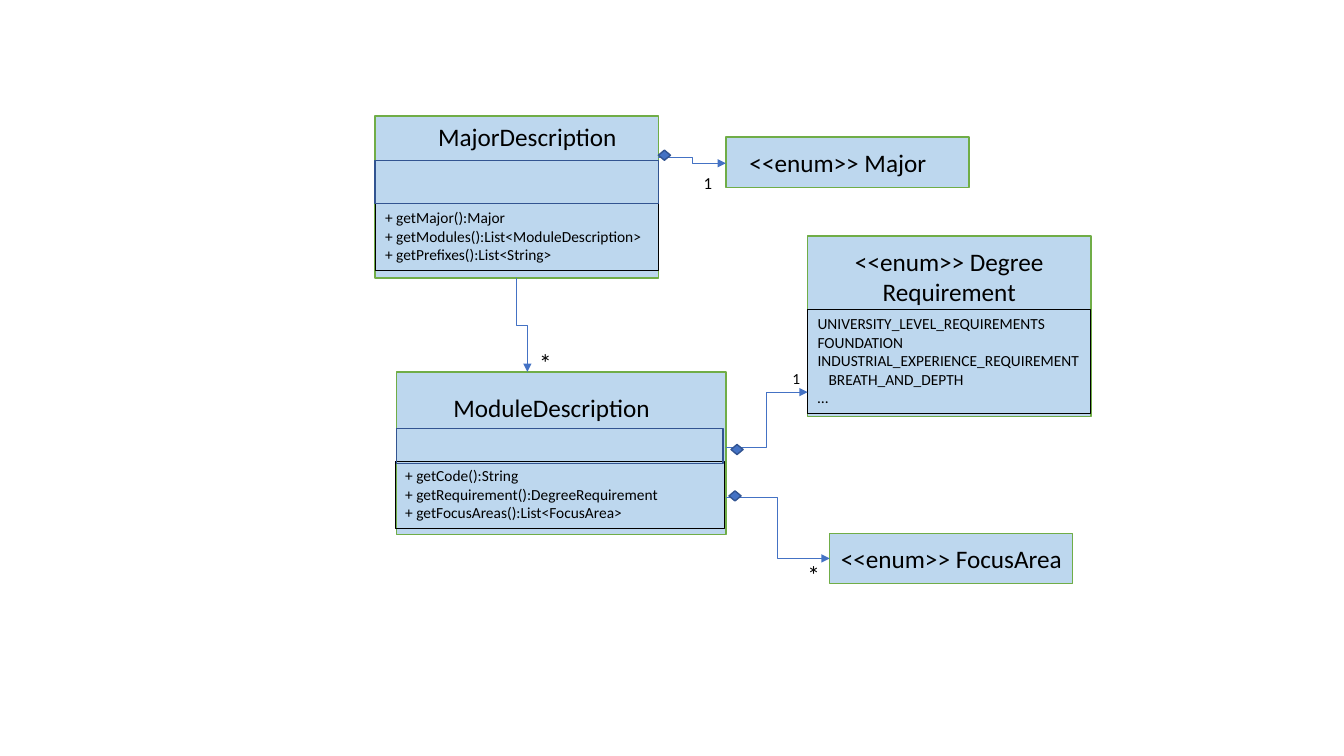
from lxml import etree
from pptx import Presentation
from pptx.dml.color import RGBColor
from pptx.enum.shapes import MSO_CONNECTOR, MSO_SHAPE
from pptx.enum.text import MSO_AUTO_SIZE, PP_ALIGN
from pptx.oxml.ns import qn
from pptx.util import Emu, Pt

COLORS = {"box": "BDD7EE", "frame": "70AD47", "arrow": "4472C4",
          "edge": "325491", "ink": "000000"}
FONT = "Calibri"
PX = 9144  # 100 px to the inch
WRAP_INDENT = 11

# Places are left, top, width, height
CLASSES = [
    {"frame": (372, 115, 281, 161),
     "name": ["MajorDescription"], "name_at": (412, 115, 222, 40),
     "members": ["+ getMajor():Major", "+ getModules():List<ModuleDescription>",
                 "+ getPrefixes():List<String>"],
     "members_at": (372, 202, 281, 66), "fields_at": (372, 159, 281, 43)},
    {"frame": (720, 136, 241, 50),
     "name": ["<<enum>> Major"], "name_at": (720, 141, 222, 40)},
    {"frame": (393, 369, 327, 161),
     "name": ["ModuleDescription"], "name_at": (436, 384, 222, 40),
     "members": ["+ getCode():String", "+ getRequirement():DegreeRequirement",
                 "+ getFocusAreas():List<FocusArea>"],
     "members_at": (392, 458, 327, 66), "fields_at": (393, 425, 324, 35)},
    {"frame": (801, 234, 281, 179),
     "name": ["<<enum>> Degree", "Requirement"], "name_at": (801, 239, 281, 71),
     "members": ["UNIVERSITY_LEVEL_REQUIREMENTS", "FOUNDATION",
                 "INDUSTRIAL_EXPERIENCE_REQUIREMENT", "BREATH_AND_DEPTH", "…"],
     "members_at": (801, 307, 281, 103), "indented": "BREATH_AND_DEPTH"},
    {"frame": (823, 529, 241, 50),
     "name": ["<<enum>> FocusArea"], "name_at": (823, 534, 241, 40)},
]
# Start, end, whether the arrow leaves downwards
ARROWS = [
    ((653, 156), (720, 162), False),
    ((720, 444), (801, 389), False),
    ((720, 493), (823, 554), False),
    ((512, 276), (523, 369), True),
]
DIAMONDS = [(653, 149), (725, 441), (723, 487)]
DIAMOND_SIZE = (12, 10)
MULTIPLICITIES = [
    ("*", (525, 340, 33, 40), 18),
    ("*", (791, 550, 33, 40), 18),
    ("1", (776, 361, 28, 29), 11),
    ("1", (688, 166, 29, 30), 12),
]


def color(name):
    return RGBColor.from_string(COLORS[name])


def emu(lengths):
    return [Emu(round(length * PX)) for length in lengths]


def outline(shape, name, width):
    shape.line.color.rgb = color(name)
    shape.line.width = Pt(width)


def add_box(slide, kind, place, fill, line):
    shape = slide.shapes.add_shape(kind, *emu(place))
    shape.shadow.inherit = False
    if fill:
        shape.fill.solid()
        shape.fill.fore_color.rgb = color(fill)
    else:
        shape.fill.background()
    outline(shape, line, 1)


def add_text(slide, lines, place, size, align=PP_ALIGN.LEFT, wrap=True, indented=None):
    box = slide.shapes.add_textbox(*emu(place))
    frame = box.text_frame
    frame.word_wrap = wrap
    frame.auto_size = MSO_AUTO_SIZE.SHAPE_TO_FIT_TEXT
    frame.text = "\n".join(lines)
    for paragraph in frame.paragraphs:
        if paragraph.text == indented:
            paragraph._p.get_or_add_pPr().set("marL", str(WRAP_INDENT * PX))
        paragraph.alignment = align
        paragraph.font.name = FONT
        paragraph.font.size = Pt(size)
        paragraph.font.color.rgb = color("ink")
    return box


def add_arrow(slide, start, end, downwards):
    (x1, y1), (x2, y2) = start, end
    if downwards:
        # A mirrored sideways elbow about the same centre, turned by 270 degrees
        cx, cy = (x1 + x2) / 2, (y1 + y2) / 2
        half_w, half_h = (y2 - y1) / 2, (x2 - x1) / 2
        x1, y1, x2, y2 = cx + half_w, cy - half_h, cx - half_w, cy + half_h
    arrow = slide.shapes.add_connector(MSO_CONNECTOR.ELBOW, *emu((x1, y1, x2, y2)))
    outline(arrow, "arrow", 0.5)
    properties = arrow._element.spPr
    if downwards:
        properties.find(qn("a:xfrm")).set("rot", str(270 * 60000))
    etree.SubElement(properties.find(qn("a:ln")), qn("a:tailEnd"), type="triangle")
    etree.SubElement(properties, qn("a:effectLst"))


def add_class(slide, uml):
    add_box(slide, MSO_SHAPE.RECTANGLE, uml["frame"], "box", "frame")
    add_text(slide, uml["name"], uml["name_at"], 18, PP_ALIGN.CENTER)
    if "members" in uml:
        members = add_text(slide, uml["members"], uml["members_at"], 11,
                           indented=uml.get("indented"))
        outline(members, "ink", 0.75)
    if "fields_at" in uml:
        add_box(slide, MSO_SHAPE.RECTANGLE, uml["fields_at"], None, "edge")


def main():
    deck = Presentation()
    deck.slide_width, deck.slide_height = emu((1333, 750))
    slide = deck.slides.add_slide(deck.slide_layouts[6])
    for uml in CLASSES:
        add_class(slide, uml)
    for arrow in ARROWS:
        add_arrow(slide, *arrow)
    for corner in DIAMONDS:
        add_box(slide, MSO_SHAPE.DIAMOND, corner + DIAMOND_SIZE, "arrow", "edge")
    for mark, place, size in MULTIPLICITIES:
        add_text(slide, [mark], place, size, wrap=False)
    deck.save("out.pptx")


if __name__ == "__main__":
    main()
